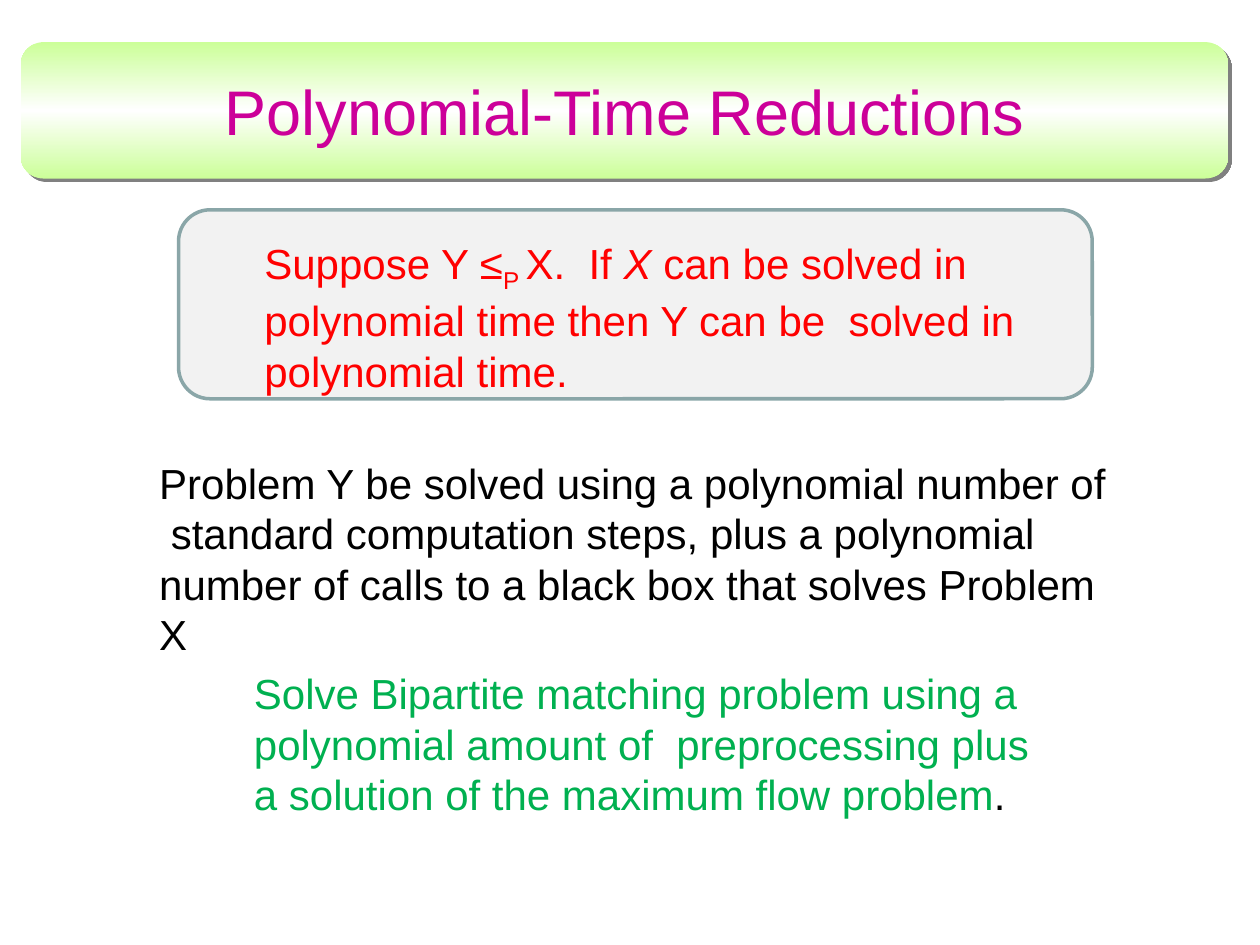
from copy import deepcopy

from lxml.etree import SubElement
from pptx import Presentation
from pptx.dml.color import RGBColor
from pptx.enum.shapes import MSO_SHAPE
from pptx.enum.text import MSO_ANCHOR, MSO_AUTO_SIZE, PP_ALIGN
from pptx.oxml.ns import qn
from pptx.util import Cm, Pt

RED, GREEN, BLACK, MAGENTA = "FF0000", "00B050", "000000", "CC0099"
LIME, WHITE, GREY, PALE, SLATE = "CCFF99", "FFFFFF", "808080", "F2F2F2", "8AA6A8"


def colour(value):
    return RGBColor.from_string(value)


def add_span(para, text, value, size=24, italic=False, baseline=0):
    """Add a run; baseline is the shift in percent, negative for a subscript."""
    span = para.add_run()
    span.text = text
    formats = {"name": "Arial", "size": Pt(size), "bold": False, "italic": italic}
    for name, setting in formats.items():
        setattr(span.font, name, setting)
    span.font.color.rgb = colour(value)
    if baseline:
        span._r.get_or_add_rPr().set("baseline", str(baseline * 1000))


def add_text(shapes, place, spans):
    box = shapes.add_textbox(*map(Cm, place))
    frame = box.text_frame
    frame.word_wrap = True
    frame.auto_size = MSO_AUTO_SIZE.SHAPE_TO_FIT_TEXT
    for text, value, formats in spans:
        add_span(frame.paragraphs[0], text, value, **formats)


def add_panel(shapes, place):
    panel = shapes.add_shape(MSO_SHAPE.ROUNDED_RECTANGLE, *map(Cm, place))
    panel.shadow.inherit = False
    return panel


def fill_with_bands(shape, values):
    """Fill with a vertical gradient of three evenly spaced colours."""
    shape.fill.gradient()
    shape.fill.gradient_angle = 90
    stops = shape._element.spPr.find(qn("a:gradFill")).find(qn("a:gsLst"))
    stops.append(deepcopy(stops[-1]))
    for index, (stop, value) in enumerate(zip(shape.fill.gradient_stops, values)):
        stop.position = index / 2
        stop.color.rgb = colour(value)


def add_hard_shadow(shape, value):
    effects = shape._element.spPr.find(qn("a:effectLst"))
    shadow = SubElement(effects, qn("a:outerShdw"), dist=str(Pt(2.83)),
                        dir="2700000", algn="ctr", rotWithShape="0")
    SubElement(shadow, qn("a:srgbClr"), val=value)


def add_banner(page, text):
    banner = add_panel(page.shapes, (0.42, 0.85, 24.34, 2.75))
    fill_with_bands(banner, (LIME, WHITE, LIME))
    banner.line.fill.background()
    add_hard_shadow(banner, GREY)

    title = page.shapes.title
    title._element.addprevious(banner._element)
    place = {"left": 0.42, "top": 1.06, "width": 24.34, "height": 2.33}
    for name, length in place.items():
        setattr(title, name, Cm(length))
    title.text_frame.vertical_anchor = MSO_ANCHOR.MIDDLE
    para = title.text_frame.paragraphs[0]
    para.alignment = PP_ALIGN.CENTER
    add_span(para, text, MAGENTA, size=36)


def add_claim(page):
    group = page.shapes.add_group_shape()
    panel = add_panel(group.shapes, (3.6, 4.23, 18.42, 3.81))
    panel.fill.solid()
    panel.fill.fore_color.rgb = colour(PALE)
    panel.line.color.rgb = colour(SLATE)
    panel.line.width = Pt(2)
    add_text(group.shapes, (5.08, 4.66, 18.84, 3.33), [
        ("Suppose Y ≤", RED, {}),
        ("P ", RED, {"baseline": -25}),
        ("X.  If ", RED, {}),
        ("X", RED, {"italic": True}),
        (" can be solved in polynomial time then Y can be  solved in "
         "polynomial time.", RED, {}),
    ])


def main():
    deck = Presentation()
    deck.slide_width, deck.slide_height = Cm(25.4), Cm(19.05)
    page = deck.slides.add_slide(deck.slide_layouts[5])
    add_banner(page, "Polynomial-Time Reductions")
    add_claim(page)
    add_text(page.shapes, (4.87, 13.34, 16.51, 3.33), [
        ("Solve Bipartite matching problem using a polynomial amount of  "
         "preprocessing plus a solution of the maximum flow problem", GREEN, {}),
        (".", BLACK, {}),
    ])
    add_text(page.shapes, (2.96, 9.1, 19.69, 4.37), [
        ("Problem Y be solved using a polynomial number of  standard "
         "computation steps, plus a polynomial number of calls to a black box "
         "that solves Problem  X", BLACK, {}),
    ])
    deck.save("out.pptx")


if __name__ == "__main__":
    main()
